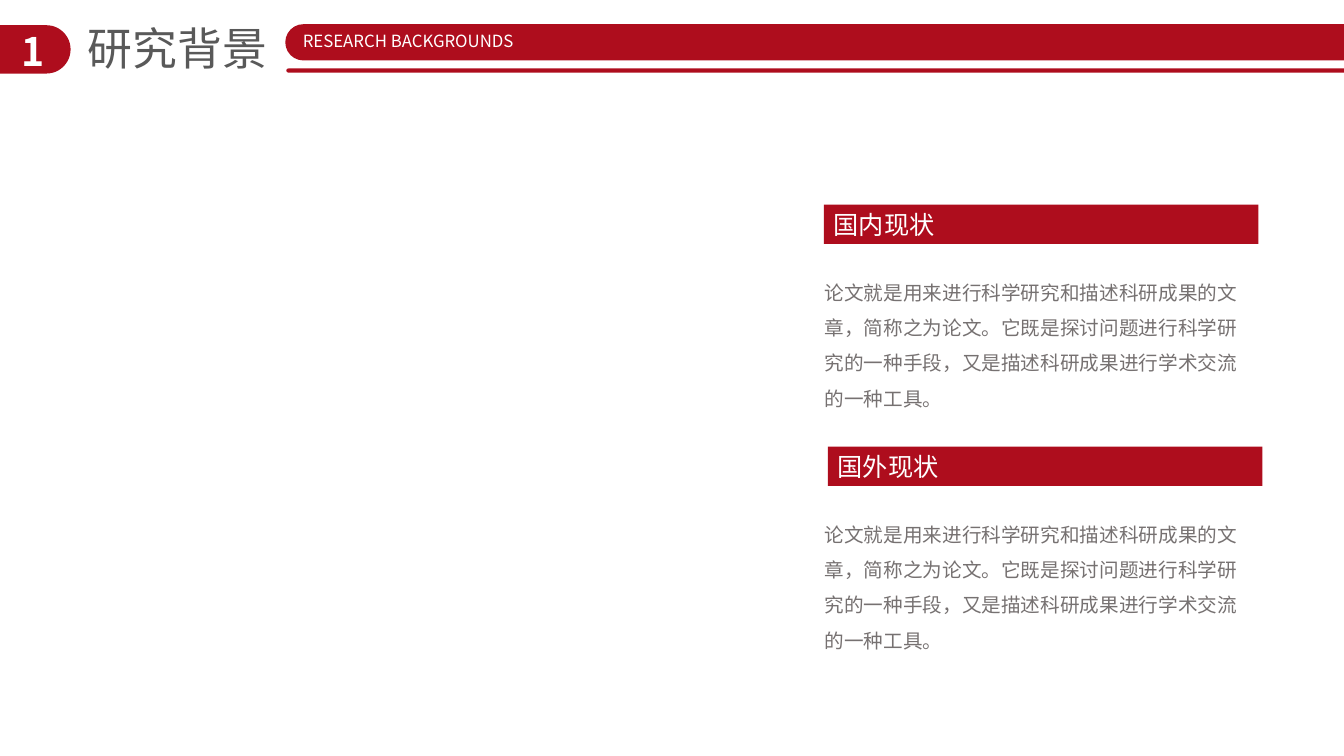
import pptx
import pptx.dml.color
import pptx.enum.shapes
import pptx.enum.text
import pptx.oxml.ns
import pptx.util
from lxml import etree

Inches = pptx.util.Inches
RGBColor = pptx.dml.color.RGBColor
SHAPE = pptx.enum.shapes.MSO_SHAPE
ALIGN = pptx.enum.text.PP_ALIGN
ANCHOR = pptx.enum.text.MSO_ANCHOR

RED = RGBColor(0xAE, 0x0D, 0x1D)
WHITE = RGBColor(0xFF, 0xFF, 0xFF)
TITLE_GRAY = RGBColor(0x59, 0x59, 0x59)
BODY_GRAY = RGBColor(0x76, 0x71, 0x71)
FONT = "Noto Sans CJK SC"

SECTION_NUMBER = "1"
TITLE = "研究背景"
SUBTITLE = "RESEARCH BACKGROUNDS"
SUMMARY = (
    "论文就是用来进行科学研究和描述科研成果的文章，简称之为论文。"
    "它既是探讨问题进行科学研究的一种手段，又是描述科研成果进行学术交流的一种工具。"
)
# heading, left and top of its bar, text below
STATUS_BLOCKS = [
    ("国内现状", 8.17, 2.03, SUMMARY),
    ("国外现状", 8.21, 4.43, SUMMARY),
]

HEADER_BARS = [
    (-0.28, 0.25, 0.98, 0.48),
    (2.83, 0.24, 11.03, 0.36),
    (2.84, 0.68, 11.03, 0.04),
]


def add_bar(slide, kind, box):
    bar = slide.shapes.add_shape(kind, *map(Inches, box))
    bar.shadow.inherit = False
    bar.fill.solid()
    bar.fill.fore_color.rgb = RED
    bar.line.fill.background()
    return bar


def write(frame, text, size, color, bold=False, wrap=False,
          align=ALIGN.LEFT, spacing=1.0, anchor=ANCHOR.TOP):
    frame.word_wrap = wrap
    frame.auto_size = pptx.enum.text.MSO_AUTO_SIZE.NONE
    frame.vertical_anchor = anchor
    paragraph = frame.paragraphs[0]
    paragraph.alignment = align
    paragraph.line_spacing = spacing
    run = paragraph.add_run()
    run.text = text
    run.font.size = pptx.util.Pt(size)
    run.font.bold = bold
    run.font.color.rgb = color
    run.font.name = FONT
    # Chinese characters take their typeface from a:ea
    east_asian = etree.SubElement(run.font._element, pptx.oxml.ns.qn("a:ea"))
    east_asian.set("typeface", FONT)


def add_text(slide, box, text, size, color, **style):
    textbox = slide.shapes.add_textbox(*map(Inches, box))
    write(textbox.text_frame, text, size, color, **style)


def add_header(slide):
    for box in HEADER_BARS:
        add_bar(slide, SHAPE.ROUNDED_RECTANGLE, box).adjustments[0] = 0.5
    add_text(slide, (0.07, 0.22, 0.51, 0.57), SECTION_NUMBER, 28, WHITE,
             bold=True, wrap=True, align=ALIGN.CENTER)
    add_text(slide, (2.85, 0.26, 2.4, 0.3), SUBTITLE, 12, WHITE,
             align=ALIGN.CENTER)

    title = slide.shapes.title
    title.left, title.top = Inches(0.77), Inches(0.16)
    title.width, title.height = Inches(2), Inches(0.64)
    write(title.text_frame, TITLE, 32, TITLE_GRAY)


def add_status_block(slide, heading, left, top, summary):
    add_bar(slide, SHAPE.RECTANGLE, (left, top, 4.31, 0.39))
    add_text(slide, (left, top, 1.21, 0.4), heading, 18, WHITE,
             anchor=ANCHOR.MIDDLE)
    add_text(slide, (8.08, top + 0.59, 4.44, 1.51), summary, 14, BODY_GRAY,
             wrap=True, spacing=1.5)


def main():
    deck = pptx.Presentation()
    deck.slide_width, deck.slide_height = Inches(13.33), Inches(7.5)
    slide = deck.slides.add_slide(deck.slide_layouts[5])
    add_header(slide)
    for block in STATUS_BLOCKS:
        add_status_block(slide, *block)
    deck.save("out.pptx")


if __name__ == "__main__":
    main()
